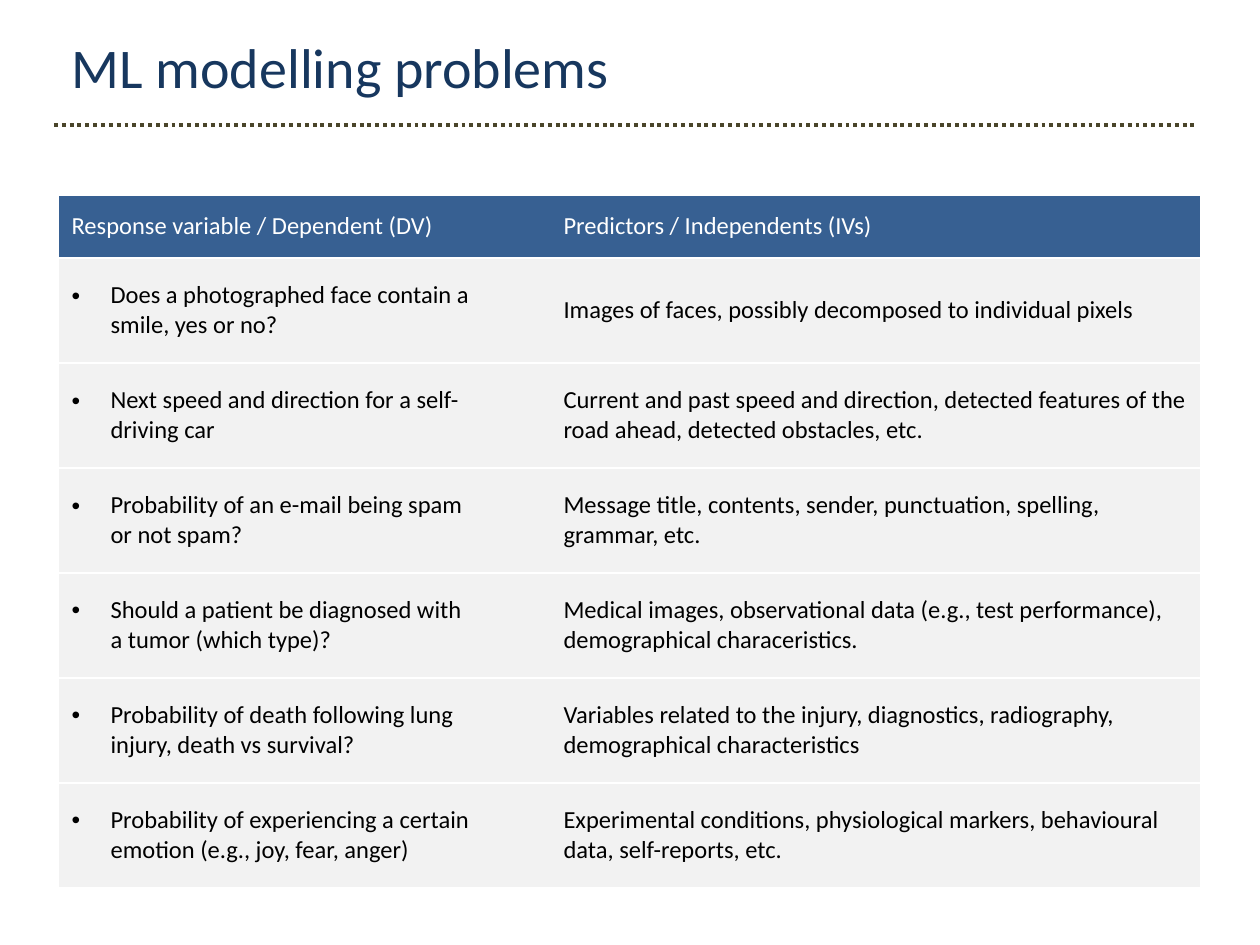
import dataclasses

import pptx
import pptx.dml.color
import pptx.enum.dml
import pptx.enum.shapes
import pptx.enum.text
import pptx.oxml.ns
import pptx.util
from lxml import etree

SCALE = 914400 / 126  # EMU in one px
FONT = "Calibri"
NAVY, BLUE, OLIVE = "17375E", "376092", "4A452A"
GREY, WHITE, BLACK = "F2F2F2", "FFFFFF", "000000"
COLS = (432, 60, 649)
HEAD_H, ROW_H, HANG = 63, 105, 39


@dataclasses.dataclass
class Case:
    target: str
    inputs: str


HEAD = Case("Response variable / Dependent (DV)", "Predictors / Independents (IVs)")
CASES = [
    Case("Does a photographed face contain a smile, yes or no?",
         "Images of faces, possibly decomposed to individual pixels"),
    Case("Next speed and direction for a self-driving car",
         "Current and past speed and direction, detected features of the road ahead, "
         "detected obstacles, etc."),
    Case("Probability of an e-mail being spam or not spam?",
         "Message title, contents, sender, punctuation, spelling, grammar, etc."),
    Case("Should a patient be diagnosed with a tumor (which type)?",
         "Medical images, observational data (e.g., test performance), "
         "demographical characeristics."),
    Case("Probability of death following lung injury, death vs survival?",
         "Variables related to the injury, diagnostics, radiography, "
         "demographical characteristics"),
    Case("Probability of experiencing a certain emotion (e.g., joy, fear, anger)",
         "Experimental conditions, physiological markers, behavioural data, "
         "self-reports, etc."),
]


def px(n: int) -> int:
    return round(n * SCALE)


def tint(code: str) -> pptx.dml.color.RGBColor:
    return pptx.dml.color.RGBColor.from_string(code)


def sub(node, tag: str, **attrs: str):
    return etree.SubElement(node, pptx.oxml.ns.qn(tag), attrs)


def write(frame, text: str, *, size: int = 14, color: str = BLACK,
          bullet: bool = False) -> None:
    par = frame.paragraphs[0]
    par.text = text
    par.alignment = pptx.enum.text.PP_ALIGN.LEFT
    if bullet:
        props = par._p.get_or_add_pPr()
        props.set("marL", str(px(HANG)))
        props.set("indent", str(-px(HANG)))
        sub(props, "a:buFont", typeface="Arial")
        sub(props, "a:buChar", char="•")
    font = par.runs[0].font
    font.name, font.size = FONT, pptx.util.Pt(size)
    font.color.rgb = tint(color)


def style(cell, fill: str) -> None:
    """White rules above and below, none at the sides."""
    props = cell._tc.get_or_add_tcPr()
    for side in "LRTB":
        line = sub(props, f"a:ln{side}", w=str(pptx.util.Pt(1)))
        if side in "LR":
            sub(line, "a:noFill")
        else:
            sub(sub(line, "a:solidFill"), "a:srgbClr", val=WHITE)
    cell.fill.solid()
    cell.fill.fore_color.rgb = tint(fill)
    cell.vertical_anchor = pptx.enum.text.MSO_ANCHOR.MIDDLE


def add_title(slide, text: str) -> None:
    title = slide.shapes.title
    title.left, title.top, title.width, title.height = map(px, (59, 26, 1157, 81))
    frame = title.text_frame
    frame.word_wrap = True
    frame.vertical_anchor = pptx.enum.text.MSO_ANCHOR.TOP
    write(frame, text, size=32, color=NAVY)


def add_rule(slide) -> None:
    rule = slide.shapes.add_connector(
        pptx.enum.shapes.MSO_CONNECTOR.STRAIGHT, *map(px, (54, 125, 1196, 125)))
    rule.line.color.rgb = tint(OLIVE)
    rule.line.width = pptx.util.Pt(2.25)
    rule.line.dash_style = pptx.enum.dml.MSO_LINE.ROUND_DOT
    sub(rule._element.spPr, "a:effectLst")


def add_grid(slide, cases: list[Case]) -> None:
    high = HEAD_H + ROW_H * len(cases)
    grid = slide.shapes.add_table(
        len(cases) + 1, len(COLS), *map(px, (59, 195, sum(COLS), high))).table
    grid.first_row = grid.horz_banding = False
    for col, width in zip(grid.columns, COLS):
        col.width = px(width)
    for i, case in enumerate([HEAD, *cases]):
        top = i == 0
        grid.rows[i].height = px(HEAD_H if top else ROW_H)
        cells = grid.rows[i].cells
        for cell in cells:
            style(cell, BLUE if top else GREY)
        color = WHITE if top else BLACK
        write(cells[0].text_frame, case.target, color=color, bullet=not top)
        write(cells[2].text_frame, case.inputs, color=color)


def main() -> None:
    deck = pptx.Presentation()
    deck.slide_width, deck.slide_height = px(1260), px(945)
    slide = deck.slides.add_slide(deck.slide_layouts[5])
    # Heading
    add_title(slide, "ML modelling problems")
    add_rule(slide)
    # Table of problems
    add_grid(slide, CASES)
    deck.save("out.pptx")


if __name__ == "__main__":
    main()
